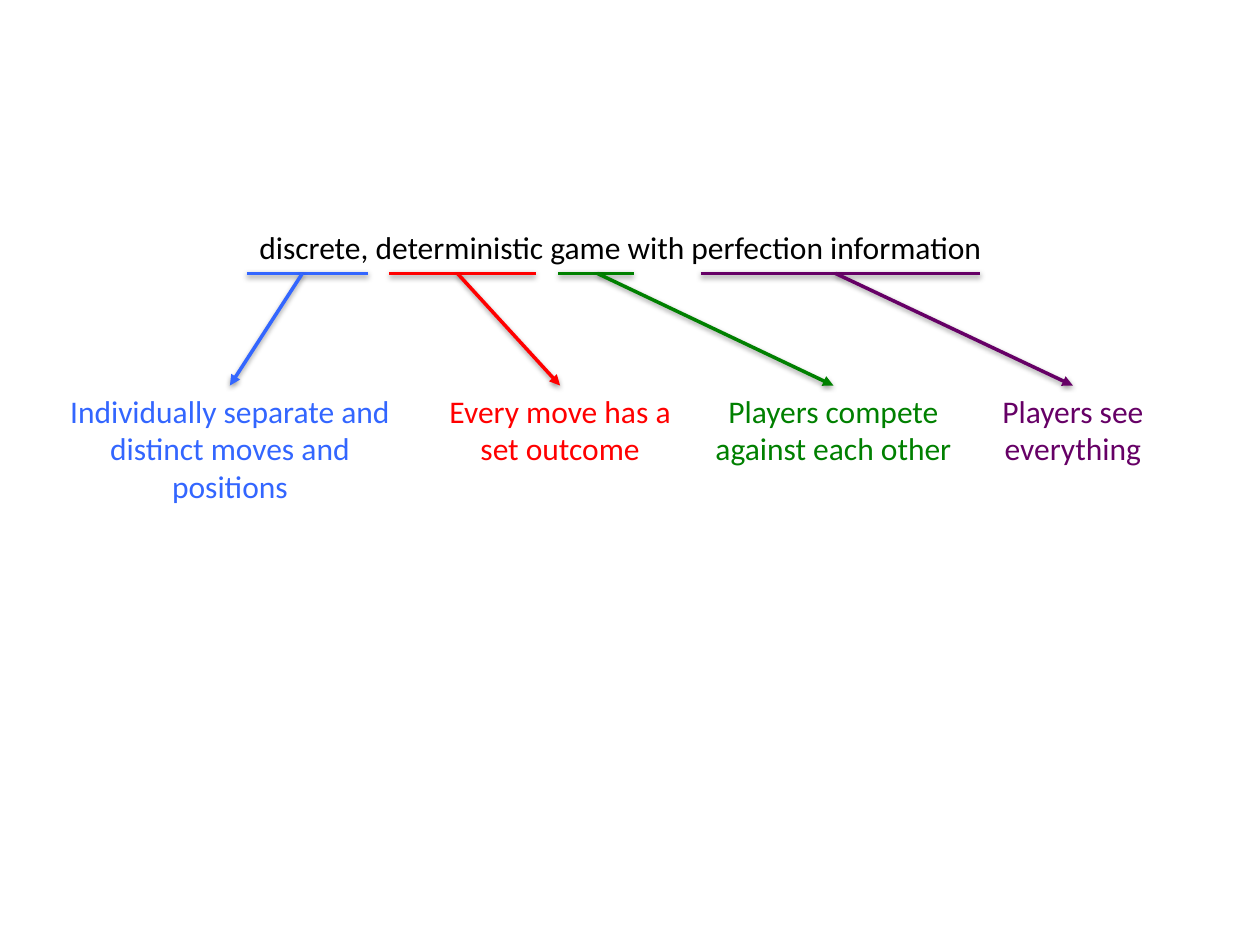
from lxml.etree import SubElement
from pptx import Presentation
from pptx.dml.color import RGBColor
from pptx.enum.shapes import MSO_CONNECTOR
from pptx.enum.text import PP_ALIGN
from pptx.oxml import parse_xml
from pptx.oxml.ns import nsdecls, qn
from pptx.util import Pt

PX = 9144  # EMU per px, 100 px to the inch
BLACK = RGBColor(0x00, 0x00, 0x00)
BLUE = RGBColor(0x33, 0x66, 0xFF)
RED = RGBColor(0xFF, 0x00, 0x00)
GREEN = RGBColor(0x00, 0x80, 0x00)
PURPLE = RGBColor(0x66, 0x00, 0x66)

SHADOW = (
    f'<a:effectLst {nsdecls("a")}>'
    '<a:outerShdw blurRad="39370" dist="20320" dir="5400000" rotWithShape="0">'
    '<a:srgbClr val="000000"><a:alpha val="38000"/></a:srgbClr>'
    '</a:outerShdw></a:effectLst>'
)

UNDERLINE_Y = 217
NOTE_Y = 306

# colour, underline left and right, arrow start, note left, width, height, wording
TERMS = [
    (BLUE, 196, 292, 240, 33, 299, 100,
     "Individually separate and distinct moves and positions"),
    (RED, 309, 425, 363, 332, 225, 70, "Every move has a set outcome"),
    (GREEN, 443, 503, 474, 556, 211, 70, "Players compete against each other"),
    (PURPLE, 556, 778, 663, 739, 225, 70, "Players see everything"),
]


class SlideBuilder:
    font_name = "Calibri"
    font_size = Pt(18)
    line_width = Pt(2)

    def __init__(self, slide):
        self.slide = slide

    def text(self, left, top, width, height, wording, color, alignment):
        shape = self.slide.shapes.add_textbox(
            left * PX, top * PX, width * PX, height * PX)
        shape.text_frame.word_wrap = True
        paragraph = shape.text_frame.paragraphs[0]
        paragraph.alignment = alignment
        run = paragraph.add_run()
        run.text = wording
        run.font.name = self.font_name
        run.font.size = self.font_size
        run.font.color.rgb = color
        return shape

    def line(self, x1, y1, x2, y2, color):
        connector = self.slide.shapes.add_connector(
            MSO_CONNECTOR.STRAIGHT, x1 * PX, y1 * PX, x2 * PX, y2 * PX)
        connector.line.color.rgb = color
        connector.line.width = self.line_width
        connector._element.spPr.append(parse_xml(SHADOW))
        return connector

    def arrow_to_top(self, x, y, target, color):
        connector = self.line(x, y, x, y, color)
        connector.end_connect(target, 0)
        outline = connector.line._get_or_add_ln()
        SubElement(outline, qn("a:tailEnd"), type="triangle")


def main():
    presentation = Presentation()
    presentation.slide_width = 1000 * PX
    presentation.slide_height = 750 * PX
    slide = presentation.slides.add_slide(presentation.slide_layouts[6])
    builder = SlideBuilder(slide)

    # Phrase being explained
    builder.text(196, 176, 672, 40,
                 "discrete, deterministic game with perfection information",
                 BLACK, PP_ALIGN.LEFT)

    # Underline, explanation and arrow for each term
    for color, start, end, arrow_x, left, width, height, wording in TERMS:
        builder.line(start, UNDERLINE_Y, end, UNDERLINE_Y, color)
        note = builder.text(left, NOTE_Y, width, height, wording, color,
                            PP_ALIGN.CENTER)
        builder.arrow_to_top(arrow_x, UNDERLINE_Y, note, color)

    presentation.save("out.pptx")


if __name__ == "__main__":
    main()
